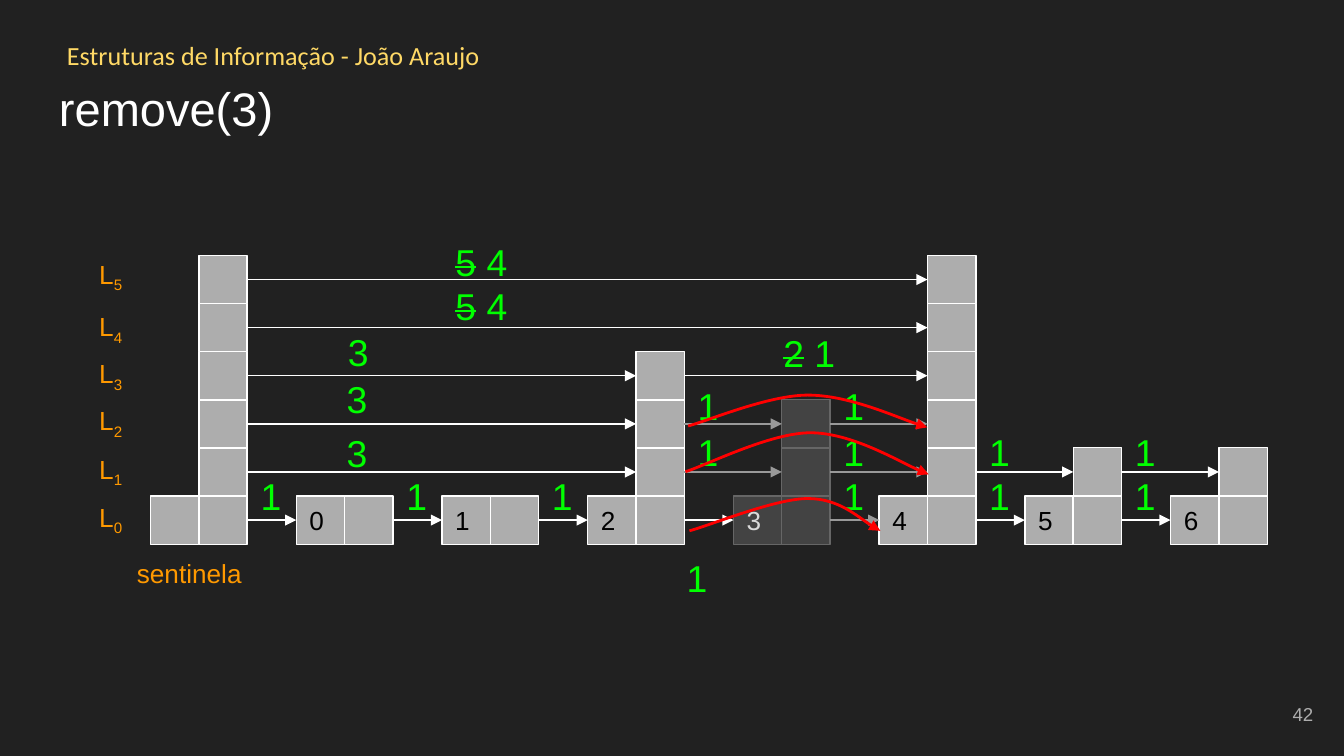
from pptx import Presentation
from pptx.dml.color import RGBColor
from pptx.enum.shapes import MSO_CONNECTOR, MSO_SHAPE
from pptx.enum.text import MSO_ANCHOR, PP_ALIGN
from pptx.oxml.ns import qn
from pptx.util import Inches, Pt
from lxml import etree

RECT = MSO_SHAPE.RECTANGLE
LINE = MSO_CONNECTOR.STRAIGHT
TOP, MIDDLE = MSO_ANCHOR.TOP, MSO_ANCHOR.MIDDLE
LEFT, RIGHT = PP_ALIGN.LEFT, PP_ALIGN.RIGHT

HEX = {
    "back": "212121", "head": "FFD966", "white": "FFFFFF", "grey": "ADADAD",
    "black": "000000", "dark": "434343", "edge": "666666", "pale": "D9D9D9",
    "dim": "999999", "level": "FF9900", "width": "00FF00", "skip": "FF0000",
}

NODES = [("", 6), ("0", 1), ("1", 1), ("2", 4), ("3", 3), ("4", 6), ("5", 2), ("6", 2)]
GONE = 4
LEVEL_TOPS = [3.63, 3.27, 2.91, 2.56, 2.21, 1.82]
HOP_TOPS = [3.42, 3.09, 2.75]
STRUCK = {"strike": "sngStrike"}
SUB = {"baseline": "-25000"}
LONG = {
    (0, 3): (["1"], 5.01, 4.03, 0.52),
    (1, 0): (["3"], 2.48, 3.1, 0.52),
    (2, 0): (["3"], 2.48, 2.7, 0.52),
    (3, 0): (["3"], 2.49, 2.35, 0.52),
    (3, 3): ([("2", STRUCK), " 1"], 5.73, 2.36, 0.82),
    (4, 0): ([("5", STRUCK), " 4"], 3.29, 2.01, 0.94),
    (5, 0): ([("5", STRUCK), " 4"], 3.29, 1.68, 0.94),
}
CURVES = [
    [(5.13, 3.95), (5.28, 3.91), (5.77, 3.71), (6.01, 3.71),
     (6.24, 3.71), (6.46, 3.91), (6.55, 3.95)],
    [(5.1, 3.51), (5.26, 3.46), (5.73, 3.22), (6.03, 3.22),
     (6.33, 3.22), (6.77, 3.48), (6.91, 3.53)],
    [(5.12, 3.17), (5.27, 3.13), (5.72, 2.94), (6.01, 2.94),
     (6.31, 2.94), (6.75, 3.14), (6.9, 3.18)],
]
CELL, BASE, FIRST = 0.36, 3.69, 1.12
PITCH, RISE = 7.59 / 7, 1.79 / 5

deck = Presentation()
deck.slide_width = Inches(10)
deck.slide_height = deck.slide_width * 9 // 16
slide = deck.slides.add_slide(deck.slide_layouts[6])
shapes = slide.shapes


def color(name):
    return RGBColor.from_string(HEX[name])


slide.background.fill.solid()
slide.background.fill.fore_color.rgb = color("back")


def text(frame, runs, size=14, tint="black", font="Arial", align=LEFT, anchor=TOP):
    frame.word_wrap = True
    frame.vertical_anchor = anchor
    frame.margin_left = frame.margin_right = Inches(0.1)
    frame.margin_top = frame.margin_bottom = Inches(0.1)
    para = frame.paragraphs[0]
    para.alignment = align
    for item in runs:
        words, extra = item if isinstance(item, tuple) else (item, {})
        run = para.add_run()
        run.text = words
        run.font.size, run.font.name = Pt(size), font
        run.font.color.rgb = color(tint)
        for key, value in extra.items():
            run.font._element.set(key, value)


def label(x, y, w, h, runs, **form):
    box = shapes.add_textbox(Inches(x), Inches(y), Inches(w), Inches(h))
    text(box.text_frame, runs, **form)


def cell(x, y, gone, key=""):
    box = shapes.add_shape(RECT, Inches(x), Inches(y), Inches(CELL), Inches(CELL))
    box.shadow.inherit = False
    box.fill.solid()
    box.fill.fore_color.rgb = color("dark" if gone else "grey")
    box.line.color.rgb = color("edge" if gone else "white")
    box.line.width = Pt(0.75)
    if key:
        text(box.text_frame, [key], tint="pale" if gone else "black", anchor=MIDDLE)
    return box


def stroke(item, tint, width):
    item.line.color.rgb = color(tint)
    item.line.width = Pt(width)
    props = item._element.spPr
    etree.SubElement(props.find(qn("a:ln")), qn("a:tailEnd"), type="triangle")
    if props.find(qn("a:effectLst")) is None:
        etree.SubElement(props, qn("a:effectLst"))


def arrow(start, end, tint):
    link = shapes.add_connector(LINE, 0, 0, 0, 0)
    link.begin_connect(start, 3)
    link.end_connect(end, 1)
    stroke(link, tint, 0.75)


def curve(points):
    spots = [(Inches(x), Inches(y)) for x, y in points]
    pen = shapes.build_freeform(*spots[0])
    pen.add_line_segments(spots[1:], close=False)
    arc = pen.convert_to_shape()
    arc.shadow.inherit = False
    arc.fill.background()
    steps = list(arc._element.iter(qn("a:lnTo")))
    for n in range(0, len(steps), 3):
        bend = etree.Element(qn("a:cubicBezTo"))
        steps[n].addprevious(bend)
        for step in steps[n:n + 3]:
            bend.append(step[0])
            step.getparent().remove(step)
    stroke(arc, "skip", 1.5)


label(0.4, 0.19, 8.17, 0.44, ["Estruturas de Informação - João Araujo"],
      tint="head", font="Calibri")
label(0.34, 0.49, 9.32, 0.63, ["remove(3)"], size=25.2, tint="white")
label(9.27, 5.1, 0.6, 0.43, ["42"], size=10, tint="grey", align=RIGHT, anchor=MIDDLE)

keys, towers = [], []
for n, (key, height) in enumerate(NODES):
    x = FIRST + n * PITCH
    keys.append(cell(x, BASE, n == GONE, key))
    towers.append([cell(x + CELL, BASE - k * RISE, n == GONE) for k in range(height)])

for level, top in enumerate(LEVEL_TOPS):
    label(0.64, top, 0.46, 0.44, ["L", (str(level), SUB)], tint="level")
    stops = [n for n, tower in enumerate(towers) if len(tower) > level]
    for a, b in zip(stops, stops[1:]):
        end = towers[b][level] if level else keys[b]
        dim = a == GONE or (b == GONE and level)
        arrow(towers[a][level], end, "dim" if dim else "white")
        if (level, a) in LONG:
            runs, x, y, w = LONG[level, a]
        else:
            runs, x, y, w = ["1"], FIRST + a * PITCH + 2 * CELL, HOP_TOPS[level], 0.52
        label(x, y, w, 0.54, runs, size=20, tint="width")

label(0.92, 4.05, 1.14, 0.44, ["sentinela"], tint="level")
for points in CURVES:
    curve(points)

deck.save("out.pptx")
